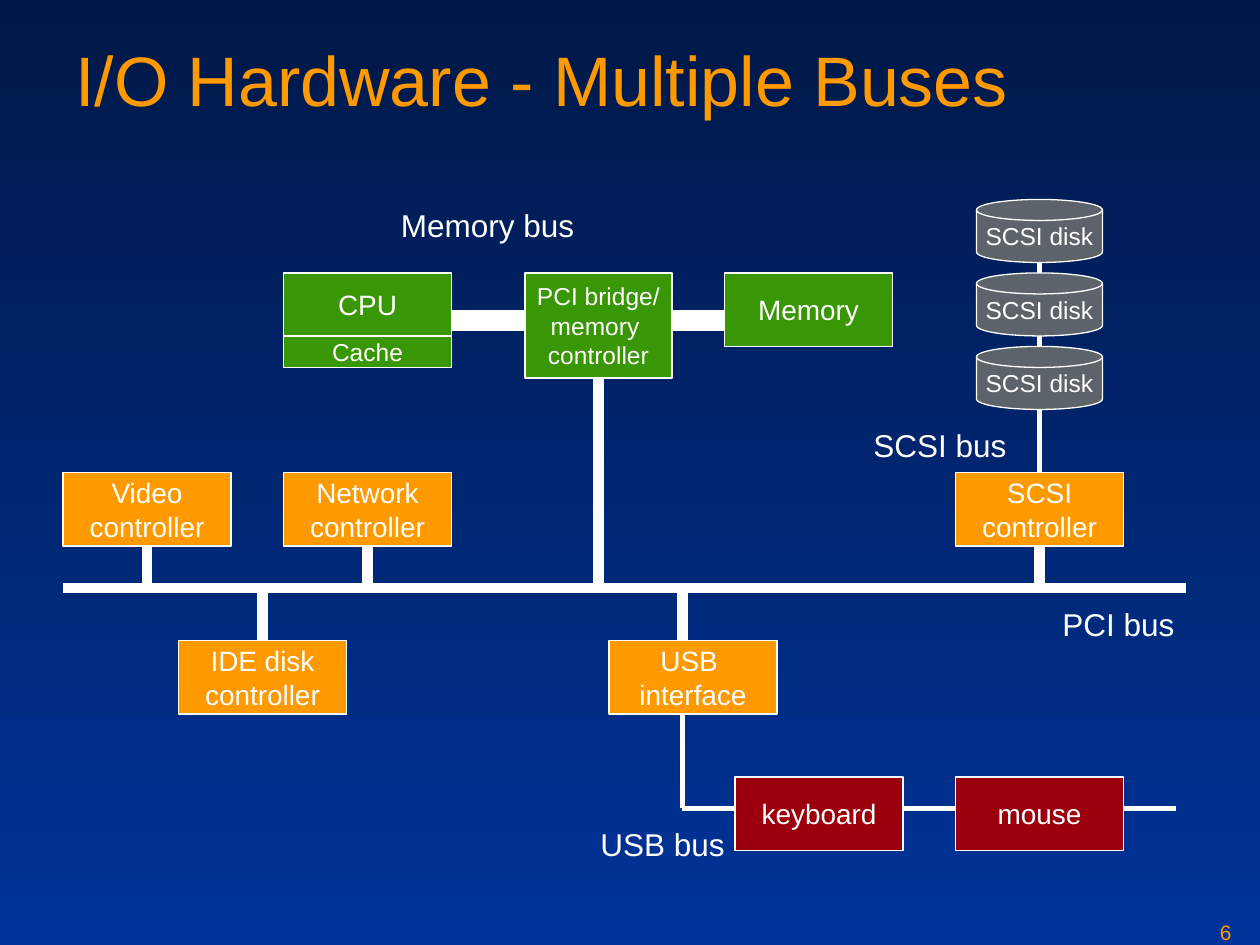
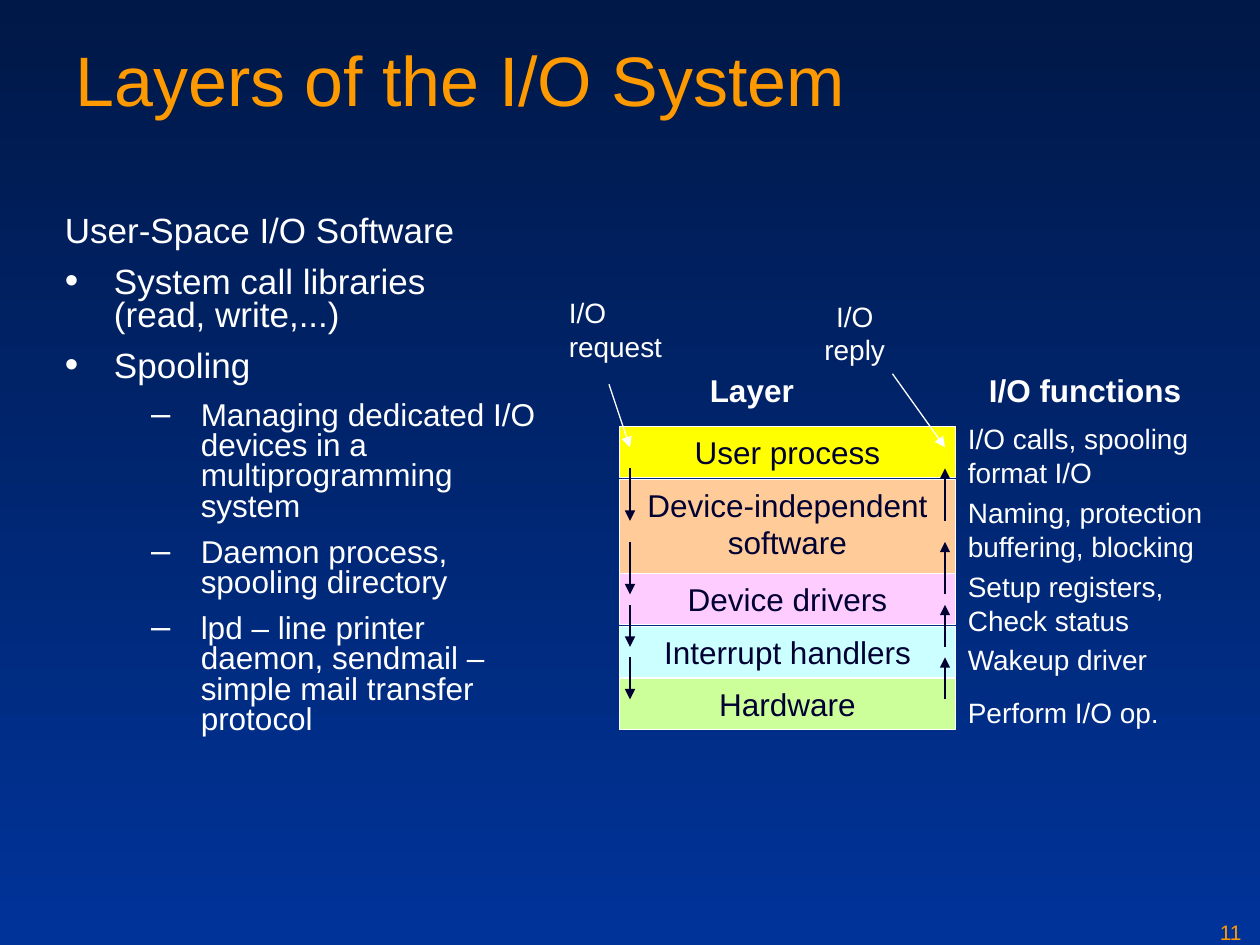
from pptx import Presentation
from pptx.dml.color import RGBColor
from pptx.enum.shapes import MSO_CONNECTOR, MSO_SHAPE
from pptx.enum.text import MSO_ANCHOR, PP_ALIGN
from pptx.oxml.ns import qn
from pptx.util import Cm, Pt
from lxml.etree import SubElement

NAVY = RGBColor(0x00, 0x18, 0x47)
BLUE = RGBColor(0x00, 0x33, 0x99)
INK = RGBColor(0x00, 0x00, 0x33)
WHITE = RGBColor(0xFF, 0xFF, 0xFF)
AMBER = RGBColor(0xFE, 0x99, 0x00)
GREEN = RGBColor(0x39, 0x96, 0x04)
RED = RGBColor(0x9C, 0x00, 0x0C)
GREY = RGBColor(0x5D, 0x63, 0x6A)
YELLOW = RGBColor(0xFF, 0xFF, 0x00)
PEACH = RGBColor(0xFF, 0xCC, 0x99)
PINK = RGBColor(0xFF, 0xCC, 0xFF)
CYAN = RGBColor(0xCC, 0xFF, 0xFF)
LIME = RGBColor(0xCC, 0xFF, 0x99)
FONT = "Arial"
GRID = 2.54 / 12

UNITS = [
    ("Video\ncontroller", 6, 45, AMBER),
    ("Network\ncontroller", 27, 45, AMBER),
    ("SCSI\ncontroller", 91, 45, AMBER),
    ("IDE disk\ncontroller", 17, 61, AMBER),
    ("USB \ninterface", 58, 61, AMBER),
    ("keyboard", 70, 74, RED),
    ("mouse", 91, 74, RED),
    ("Memory", 69, 26, GREEN),
]
CHIPS = [
    ("CPU", (27, 26, 16, 6), 16),
    ("Cache", (27, 32, 16, 3), 14),
    ("PCI bridge/\nmemory \ncontroller", (50, 26, 14, 10), 14),
]
DISKS = ["SCSI disk"] * 3
THIN = [(99, 45, 99, 25), (65, 68, 65, 77), (65, 77, 112, 77)]
THICK = [
    (43, 31, 69, 31), (43, 30, 69, 30), (6, 56, 113, 56),
    (14, 52, 14, 56), (35, 52, 35, 56), (99, 52, 99, 56),
    (25, 56, 25, 61), (65, 56, 65, 61), (57, 56, 57, 36),
]
BUSES = [
    ("PCI bus", 100, 57, 15),
    ("USB bus", 56, 78, 16),
    ("SCSI bus", 82, 40, 17),
    ("Memory bus", 37, 19, 21),
]

POINTS = [
    ("", "User-Space I/O Software"),
    ("•", "System call libraries \n(read, write,...)"),
    ("•", "Spooling"),
    ("–", "Managing dedicated I/O devices in a multiprogramming system"),
    ("–", "Daemon process, spooling directory"),
    ("–", "lpd – line printer daemon, sendmail – simple mail transfer protocol"),
]
STYLES = {
    "": (20, 0.99, 5),
    "•": (20, 0.99, 5),
    "–": (18, 2.74, 4.5),
}
LAYERS = [
    ("User process", 40.65, 4.85, YELLOW),
    ("Device-independent\nsoftware", 45.65, 9, PEACH),
    ("Device drivers", 54.6, 4.85, PINK),
    ("Interrupt handlers", 59.65, 4.85, CYAN),
    ("Hardware", 64.65, 4.85, LIME),
]
TASKS = [
    ("I/O calls, spooling\nformat I/O", 39.6, 7.7),
    ("Naming, protection\nbuffering, blocking", 46.6, 7.7),
    ("Setup registers,\nCheck status", 53.65, 7.7),
    ("Wakeup driver", 60.6, 4.4),
    ("Perform I/O op.", 65.65, 4.4),
]
STEPS = [(44.6, 49.6), (51.6, 56.6), (57.6, 61.6), (62.6, 66.6)]
CALLS = [(58, 36.6, 60, 42.6), (85, 35.6, 90, 42.6)]


def grid(*steps):
    return [Cm(step * GRID) for step in steps]


def write(para, text, size, color, bold=False):
    for row, part in enumerate(text.split("\n")):
        if row:
            para.add_line_break()
        run = para.add_run()
        run.text = part
        font = run.font
        font.name, font.size, font.bold = FONT, Pt(size), bold
        font.color.rgb = color


def label(slide, text, place, size, color=WHITE, bold=False,
          align=PP_ALIGN.LEFT):
    frame = slide.shapes.add_textbox(*grid(*place)).text_frame
    frame.word_wrap = True
    para = frame.paragraphs[0]
    para.alignment = align
    write(para, text, size, color, bold)


def block(slide, text, place, fill, size=16, color=WHITE,
          kind=MSO_SHAPE.RECTANGLE, anchor=MSO_ANCHOR.MIDDLE):
    shape = slide.shapes.add_shape(kind, *grid(*place))
    shape.shadow.inherit = False
    shape.fill.solid()
    shape.fill.fore_color.rgb = fill
    shape.line.color.rgb = WHITE
    shape.line.width = Pt(0.75)
    frame = shape.text_frame
    frame.word_wrap = False
    frame.vertical_anchor = anchor
    para = frame.paragraphs[0]
    para.alignment = PP_ALIGN.CENTER
    write(para, text, size, color)


def wire(slide, ends, width, color=WHITE, arrow=False):
    line = slide.shapes.add_connector(MSO_CONNECTOR.STRAIGHT, *grid(*ends))
    line.line.color.rgb = color
    line.line.width = Pt(width)
    props = line._element.spPr
    if arrow:
        SubElement(props.find(qn("a:ln")), qn("a:tailEnd"), type="triangle")
    SubElement(props, qn("a:effectLst"))


def bullet(para, mark, indent):
    props = para._p.get_or_add_pPr()
    props.set("marL", str(Cm(indent)))
    props.set("indent", str(-Cm(1)))
    if not mark:
        SubElement(props, qn("a:buNone"))
        return
    tint = SubElement(props, qn("a:buClr"))
    SubElement(tint, qn("a:srgbClr"), val=str(WHITE))
    SubElement(props, qn("a:buSzPct"), val="110000")
    SubElement(props, qn("a:buFont"), typeface=FONT)
    SubElement(props, qn("a:buChar"), char=mark)


def paint(deck):
    fill = deck.slide_master.background.fill
    fill.gradient()
    fill.gradient_angle = 270
    for stop, color in zip(fill.gradient_stops, (NAVY, BLUE)):
        stop.color.rgb = color


def start(deck, title, page):
    slide = deck.slides.add_slide(deck.slide_layouts[6])
    label(slide, page, (115, 87, 5, 3), 12, AMBER)
    label(slide, title, (6, 2.9, 108, 15), 40, AMBER)
    return slide


def draw_buses(deck):
    slide = start(deck, "I/O Hardware - Multiple Buses", "6")
    for width, wires in ((3, THIN), (6, THICK)):
        for ends in wires:
            wire(slide, ends, width)
    for text, left, top, fill in UNITS:
        block(slide, text, (left, top, 16, 7), fill)
    for text, place, size in CHIPS:
        block(slide, text, place, GREEN, size)
    for row, text in enumerate(DISKS):
        block(slide, text, (93, 19 + 7 * row, 12, 6), GREY, 14,
              kind=MSO_SHAPE.FLOWCHART_MAGNETIC_DISK)
    for text, left, top, width in BUSES:
        label(slide, text, (left, top, width, 4.8), 18)


def draw_points(slide):
    frame = slide.shapes.add_textbox(*grid(5, 20, 49, 55)).text_frame
    frame.word_wrap = True
    for row, (mark, text) in enumerate(POINTS):
        para = frame.add_paragraph() if row else frame.paragraphs[0]
        size, indent, gap = STYLES[mark]
        bullet(para, mark, indent)
        para.line_spacing = 0.8
        para.space_before = Pt(gap if row else 0)
        para.space_after = Pt(gap)
        write(para, text, size, WHITE)


def draw_layers(deck):
    slide = start(deck, "Layers of the I/O System", "11")
    draw_points(slide)
    label(slide, "Layer", (60, 34.7, 23.2, 4.8), 18, bold=True,
          align=PP_ALIGN.CENTER)
    label(slide, "I/O functions", (93, 34.7, 24, 4.8), 18, bold=True)
    label(slide, "I/O\nrequest", (53, 27.6, 14, 7.7), 16)
    label(slide, "I/O\nreply", (76.4, 27.9, 10, 7.7), 16,
          align=PP_ALIGN.CENTER)
    for text, top, height, fill in LAYERS:
        block(slide, text, (59, top, 32, height), fill, 18, INK,
              anchor=MSO_ANCHOR.TOP)
    for text, top, height in TASKS:
        label(slide, text, (91, top, 28, height), 16)
    for top, base in STEPS:
        wire(slide, (60, top, 60, base), 0.75, INK, True)
        wire(slide, (90, base, 90, top), 0.75, INK, True)
    for ends in CALLS:
        wire(slide, ends, 0.75, WHITE, True)


def main():
    deck = Presentation()
    deck.slide_width, deck.slide_height = Cm(25.4), Cm(19.05)
    paint(deck)
    draw_buses(deck)
    draw_layers(deck)
    deck.save("out.pptx")


if __name__ == "__main__":
    main()
